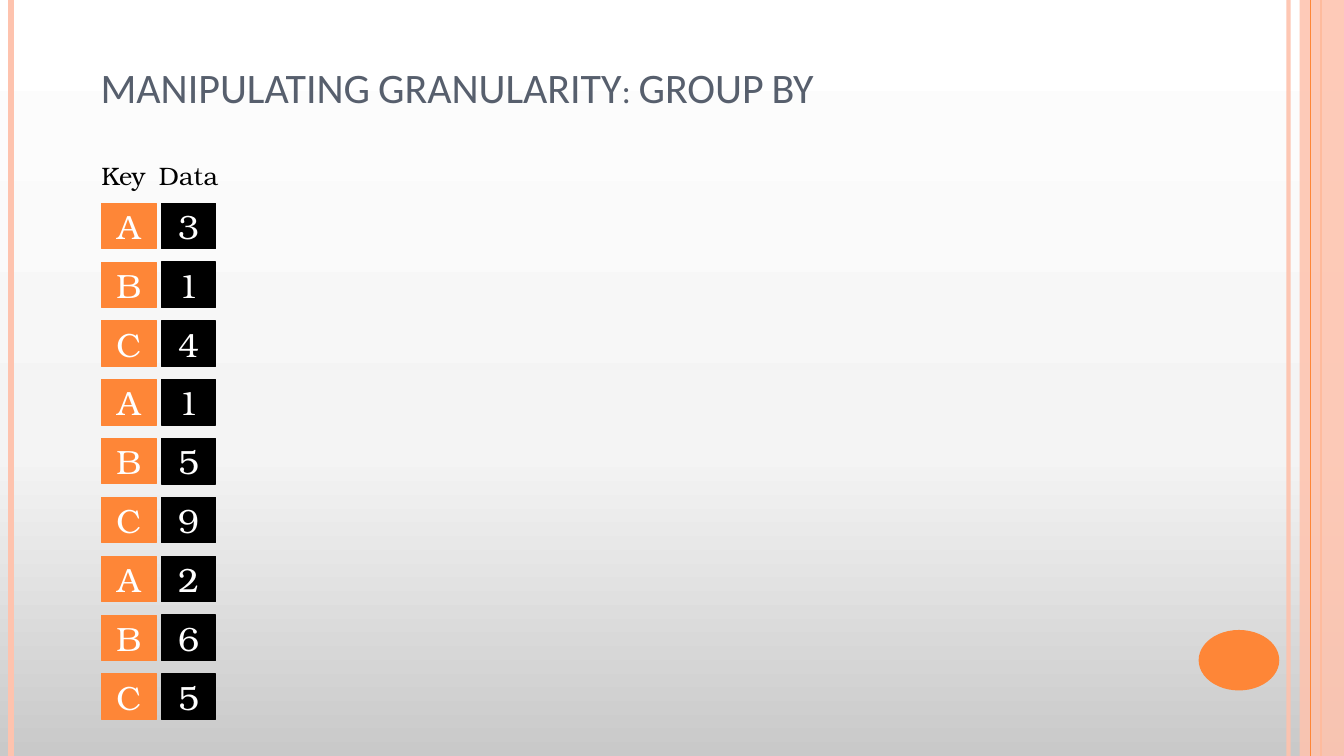
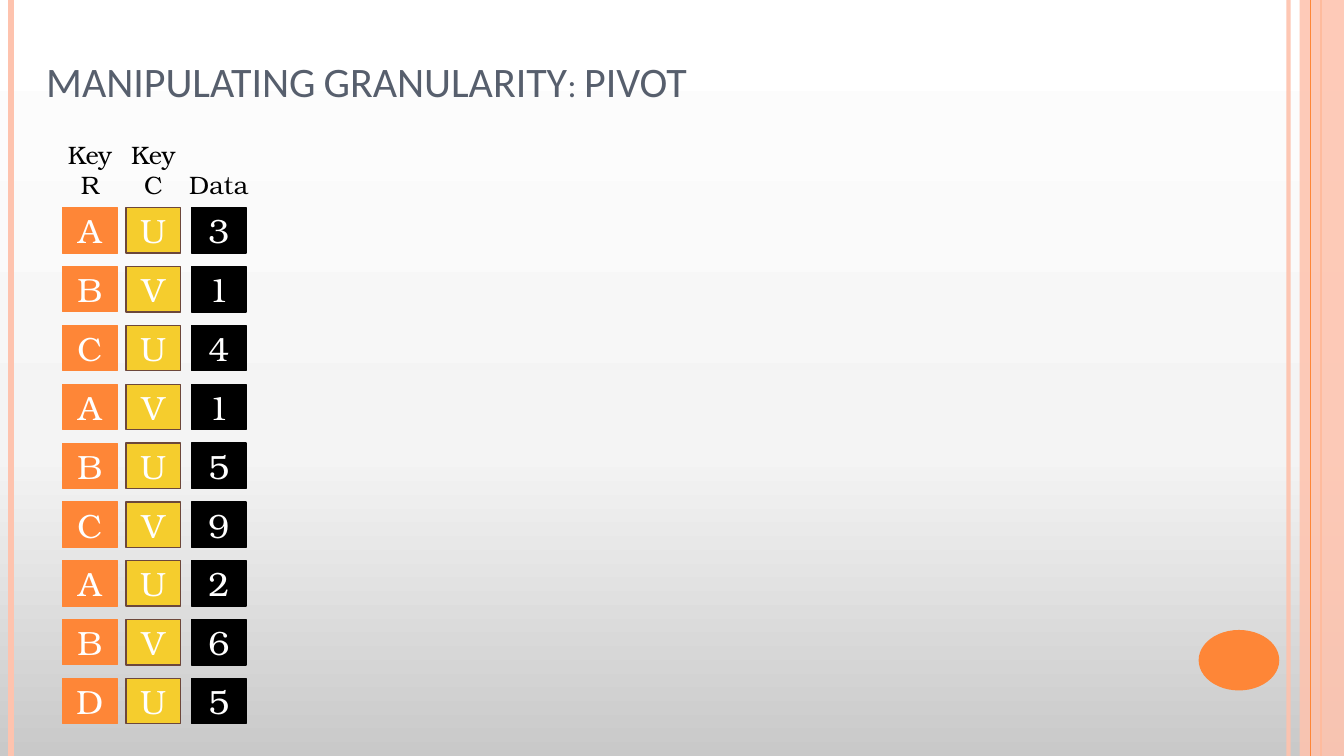
import copy

import lxml.etree
import pptx
import pptx.dml.color
import pptx.enum.shapes
import pptx.enum.text
import pptx.oxml.ns
import pptx.util

Pt = pptx.util.Pt
SHAPE = pptx.enum.shapes.MSO_SHAPE
ALIGN = pptx.enum.text.PP_ALIGN
ANCHOR = pptx.enum.text.MSO_ANCHOR
qn = pptx.oxml.ns.qn

SLIDE_W, SLIDE_H = 960, 540
ORANGE, PEACH, YELLOW, BROWN = "FE8637", "FEC3AE", "F5CD2D", "6C473B"
SLATE, BLACK, WHITE = "575F6D", "000000", "FFFFFF"
TITLE_FONT, BODY_FONT = "Calibri", "TeX Gyre Bonum"

BACKGROUND = [(0, "C9C9C9"), (0.4, "F4F4F4"), (1, "FFFFFF")]
# x, colour, width, opacity in percent
RULES_BEHIND_BAND = [(920.3, PEACH, 3, 93), (8, PEACH, 4.5, 100), (943.8, ORANGE, 1.5, 100)]
RULE_ON_BAND = (936, ORANGE, 0.75, 100)

CELL_W, CELL_H, ROW_PITCH = 39, 32.4, 42.02
LABEL_W, LABEL_LINE, LABEL_INSETS = 60, 22, 7.2

# fill, line colour, line width
ROW_KEY = (ORANGE, ORANGE, 0.75)
COLUMN_KEY = (YELLOW, BROWN, 1)
DATA = (BLACK, BLACK, 1)

# column: label lines, left edge, label shift, style, values
SLIDES = [
    {
        "title": "MANIPULATING GRANULARITY: GROUP BY",
        "title_box": (64.8, 0.7, 792, 126.7),
        "grid_top": 145.2,
        "label_bottom": 140.4,
        "columns": [
            (["Key"], 72.6, -4, ROW_KEY, "ABCABCABC"),
            (["Data"], 115.2, 0, DATA, "314159265"),
        ],
    },
    {
        "title": "MANIPULATING GRANULARITY: PIVOT",
        "title_box": (25.9, 7.9, 914.4, 104.4),
        "grid_top": 148.4,
        "label_bottom": 146.9,
        "columns": [
            (["Key", "R"], 44.7, 0, ROW_KEY, "ABCABCABD"),
            (["Key", "C"], 90, 0, COLUMN_KEY, "UVUVUVUVU"),
            (["Data"], 136.8, 0, DATA, "314159265"),
        ],
    },
]


def rgb(value):
    return pptx.dml.color.RGBColor.from_string(value)


def set_opacity(sp, percent):
    for color in sp.element.spPr.iter(qn("a:srgbClr")):
        lxml.etree.SubElement(color, qn("a:alpha")).set("val", str(percent * 1000))


def set_background(master):
    fill = master.background.fill
    fill.gradient()
    fill.gradient_angle = 90
    stops = next(master.element.iter(qn("a:gsLst")))
    stops.insert(1, copy.deepcopy(stops[0]))
    for stop, (position, color) in zip(fill.gradient_stops, BACKGROUND):
        stop.position = position
        stop.color.rgb = rgb(color)


def add_rule(s, x, color, width, opacity):
    line = s.shapes.add_connector(
        pptx.enum.shapes.MSO_CONNECTOR.STRAIGHT, Pt(x), Pt(0), Pt(x), Pt(SLIDE_H))
    line.line.color.rgb = rgb(color)
    line.line.width = Pt(width)
    lxml.etree.SubElement(line.element.spPr, qn("a:effectLst"))
    if opacity < 100:
        set_opacity(line, opacity)


def add_filled(shapes, kind, box, color):
    sp = shapes.add_shape(kind, *map(Pt, box))
    sp.shadow.inherit = False
    sp.fill.solid()
    sp.fill.fore_color.rgb = rgb(color)
    sp.line.fill.background()
    return sp


def write(sp, lines, size, font, color, align=ALIGN.CENTER, anchor=ANCHOR.MIDDLE):
    """Write one paragraph per line."""
    tf = sp.text_frame
    tf.word_wrap = True
    tf.vertical_anchor = anchor
    for i, text in enumerate(lines):
        p = tf.add_paragraph() if i else tf.paragraphs[0]
        p.alignment = align
        r = p.add_run()
        r.text = text
        r.font.size = Pt(size)
        r.font.name = font
        r.font.color.rgb = rgb(color)


def add_frame(s):
    """Draw the side rules, the right band and the disc."""
    for rule in RULES_BEHIND_BAND:
        add_rule(s, *rule)
    band = add_filled(s.shapes, SHAPE.RECTANGLE, (928.3, 0, SLIDE_W - 928.3, SLIDE_H), PEACH)
    set_opacity(band, 87)
    add_rule(s, *RULE_ON_BAND)
    add_filled(s.shapes, SHAPE.OVAL, (856.2, 450, 57.6, 43.2), ORANGE)


def add_title(s, text, box):
    sp = s.shapes.add_textbox(*map(Pt, box))
    write(sp, [text], 30, TITLE_FONT, SLATE, ALIGN.LEFT)
    next(sp.element.iter(qn("a:rPr"))).set("cap", "small")
    sp.text_frame.paragraphs[0].line_spacing = 0.9


def add_label(s, lines, center, bottom):
    height = LABEL_LINE * len(lines) + LABEL_INSETS
    sp = s.shapes.add_textbox(
        Pt(center - LABEL_W / 2), Pt(bottom - height), Pt(LABEL_W), Pt(height))
    write(sp, lines, 18, BODY_FONT, BLACK, anchor=ANCHOR.TOP)


def add_cell(shapes, left, top, text, style):
    fill, line, width = style
    sp = add_filled(shapes, SHAPE.RECTANGLE, (left, top, CELL_W, CELL_H), fill)
    sp.line.color.rgb = rgb(line)
    sp.line.width = Pt(width)
    write(sp, [text], 24, BODY_FONT, WHITE)


def add_records(s, columns, grid_top, label_bottom):
    for lines, left, shift, _, _ in columns:
        add_label(s, lines, left + CELL_W / 2 + shift, label_bottom)
    for row in range(len(columns[0][-1])):
        record = s.shapes.add_group_shape()
        for _, left, _, style, values in columns:
            add_cell(record.shapes, left, grid_top + row * ROW_PITCH, values[row], style)


def main():
    prs = pptx.Presentation()
    prs.slide_width, prs.slide_height = Pt(SLIDE_W), Pt(SLIDE_H)
    set_background(prs.slide_master)
    for content in SLIDES:
        s = prs.slides.add_slide(prs.slide_layouts[6])
        add_frame(s)
        add_title(s, content["title"], content["title_box"])
        add_records(s, content["columns"], content["grid_top"], content["label_bottom"])
    prs.save("out.pptx")


if __name__ == "__main__":
    main()
